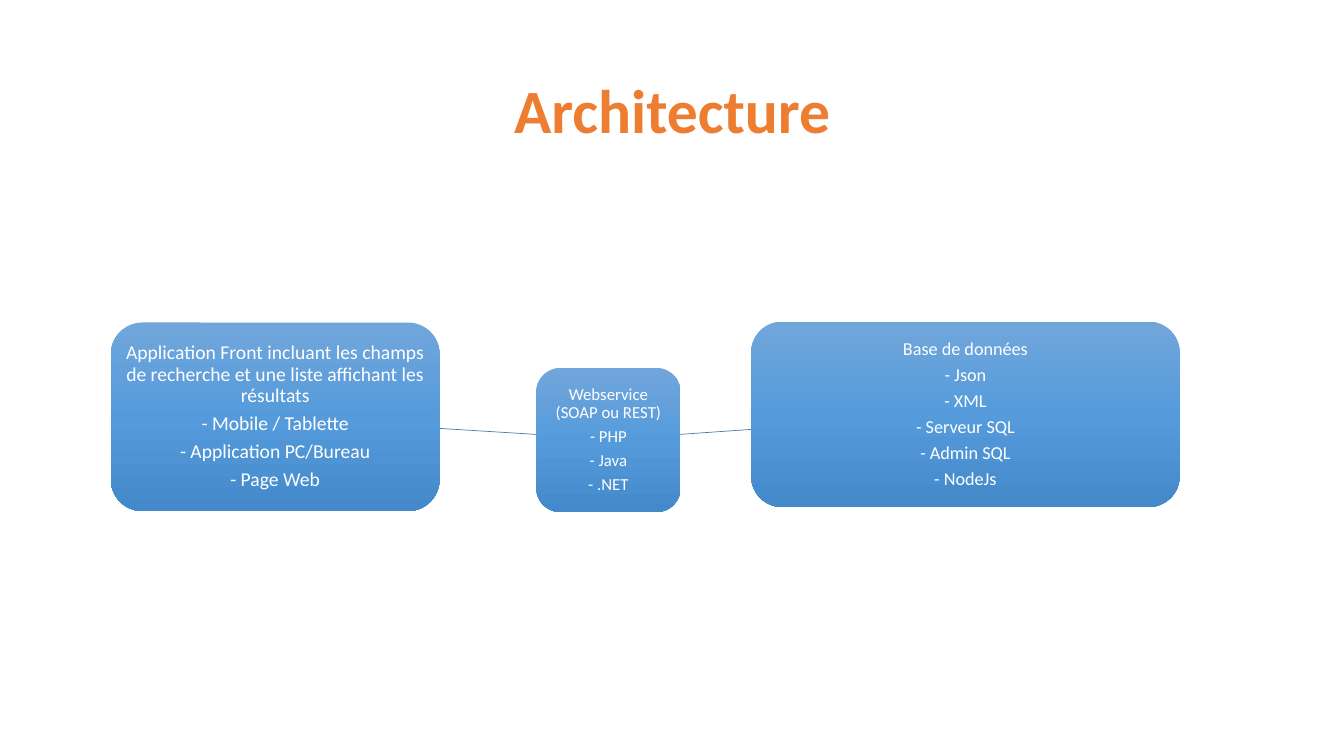
from copy import deepcopy
from dataclasses import dataclass

from pptx import Presentation
from pptx.dml.color import RGBColor
from pptx.enum.shapes import MSO_CONNECTOR, MSO_SHAPE
from pptx.enum.text import MSO_ANCHOR, PP_ALIGN
from pptx.oxml.ns import qn
from pptx.util import Inches, Pt

ROUNDED = MSO_SHAPE.ROUNDED_RECTANGLE
STRAIGHT = MSO_CONNECTOR.STRAIGHT
MIDDLE = MSO_ANCHOR.MIDDLE
CENTER = PP_ALIGN.CENTER


@dataclass(frozen=True)
class Theme:
    font: str = "Calibri"
    title_color: str = "ED7D31"
    text_color: str = "FFFFFF"
    line_color: str = "497CAB"
    gradient: tuple = ("71A6DB", "559BDB", "448ACA")
    title_size: int = 44
    front_size: int = 14
    service_size: int = 12
    database_size: int = 13
    line_width: float = 0.5


THEME = Theme()

TIERS = [
    ((1.1, 3.2, 3.26, 1.87), 0.04, THEME.front_size, [
        "Application Front incluant les champs de recherche et une liste affichant les résultats",
        "- Mobile / Tablette",
        "- Application PC/Bureau",
        "- Page Web",
    ]),
    ((5.32, 3.65, 1.43, 1.43), 0.03, THEME.service_size, [
        "Webservice (SOAP ou REST)",
        "- PHP",
        "- Java",
        "- .NET",
    ]),
    ((7.45, 3.19, 4.25, 1.84), 0.04, THEME.database_size, [
        "Base de données",
        "- Json",
        "- XML",
        "- Serveur SQL",
        "- Admin SQL",
        "- NodeJs",
    ]),
]

LINKS = [
    (4.36, 4.25, 5.32, 4.31),
    (6.74, 4.31, 7.45, 4.26),
]


def apply_format(target, values):
    for name, value in values.items():
        setattr(target, name, value)


def write_text(shape, lines, size, color, inset, space_after=0, bold=False):
    frame = shape.text_frame
    margins = {f"margin_{side}": Inches(inset) for side in ("left", "right", "top", "bottom")}
    apply_format(frame, {"word_wrap": True, "vertical_anchor": MIDDLE, **margins})
    frame.text = "\n".join(lines)
    for paragraph in frame.paragraphs:
        apply_format(paragraph, {
            "alignment": CENTER,
            "line_spacing": 0.9,
            "space_after": Pt(space_after),
        })
        font = paragraph.runs[0].font
        apply_format(font, {"name": THEME.font, "size": Pt(size), "bold": bold})
        font.color.rgb = RGBColor.from_string(color)


def fill_gradient(shape):
    shape.fill.gradient()
    shape.fill.gradient_angle = 270
    stop_list = shape.element.spPr.find(qn("a:gradFill")).find(qn("a:gsLst"))
    stop_list.insert(1, deepcopy(stop_list[0]))
    last = len(THEME.gradient) - 1
    for index, (stop, color) in enumerate(zip(shape.fill.gradient_stops, THEME.gradient)):
        stop.position = index / last
        stop.color.rgb = RGBColor.from_string(color)


def add_title(slide, text):
    box = slide.shapes.add_textbox(Inches(0.92), Inches(0.4), Inches(11.5), Inches(1.45))
    write_text(box, [text], THEME.title_size, THEME.title_color, 0.1, bold=True)


def add_tier(slide, bounds, inset, size, lines):
    shape = slide.shapes.add_shape(ROUNDED, *map(Inches, bounds))
    shape.shadow.inherit = False
    shape.line.fill.background()
    fill_gradient(shape)
    write_text(shape, lines, size, THEME.text_color, inset, space_after=round(size * 0.35, 1))


def add_link(slide, ends):
    connector = slide.shapes.add_connector(STRAIGHT, *map(Inches, ends))
    connector.line.color.rgb = RGBColor.from_string(THEME.line_color)
    connector.line.width = Pt(THEME.line_width)
    properties = connector._element.spPr
    properties.append(properties.makeelement(qn("a:effectLst"), {}))


def main():
    presentation = Presentation()
    apply_format(presentation, {"slide_width": Inches(13.33), "slide_height": Inches(7.5)})
    slide = presentation.slides.add_slide(presentation.slide_layouts[6])
    add_title(slide, "Architecture")
    for ends in LINKS:
        add_link(slide, ends)
    for tier in TIERS:
        add_tier(slide, *tier)
    presentation.save("out.pptx")


if __name__ == "__main__":
    main()
